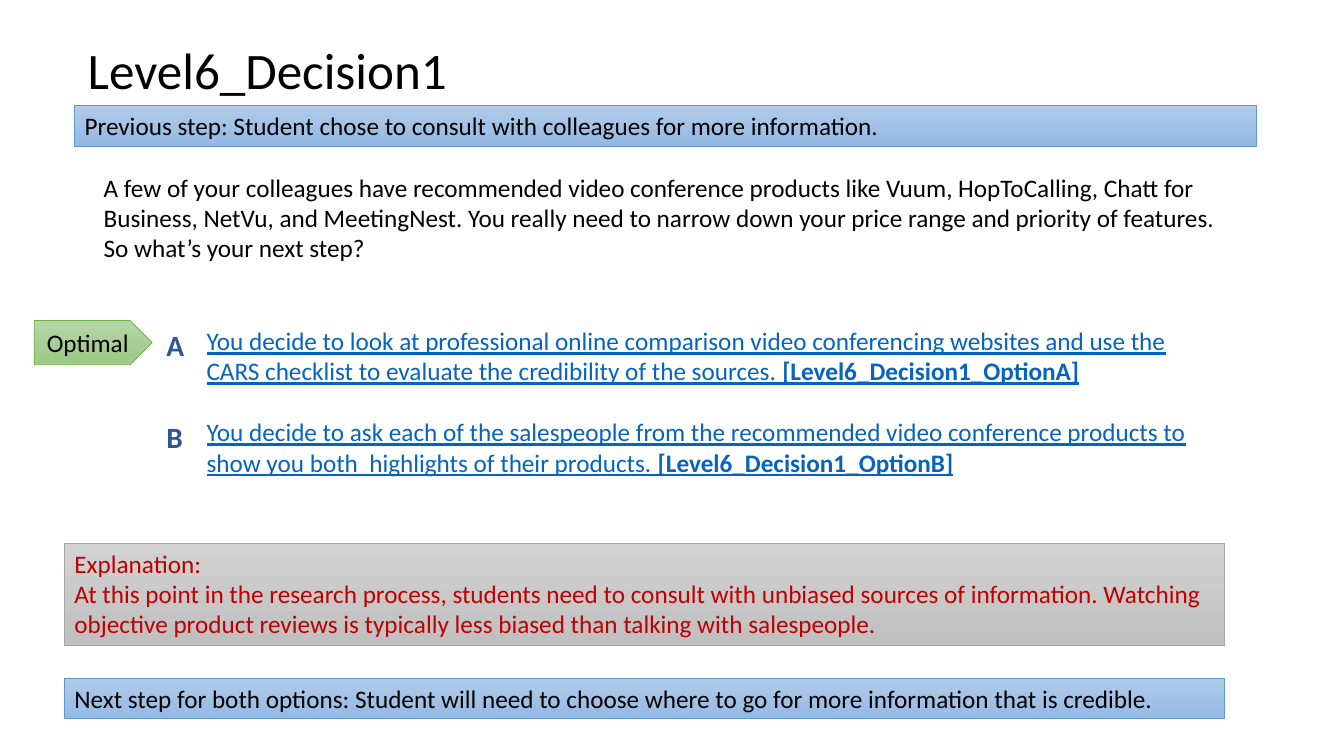
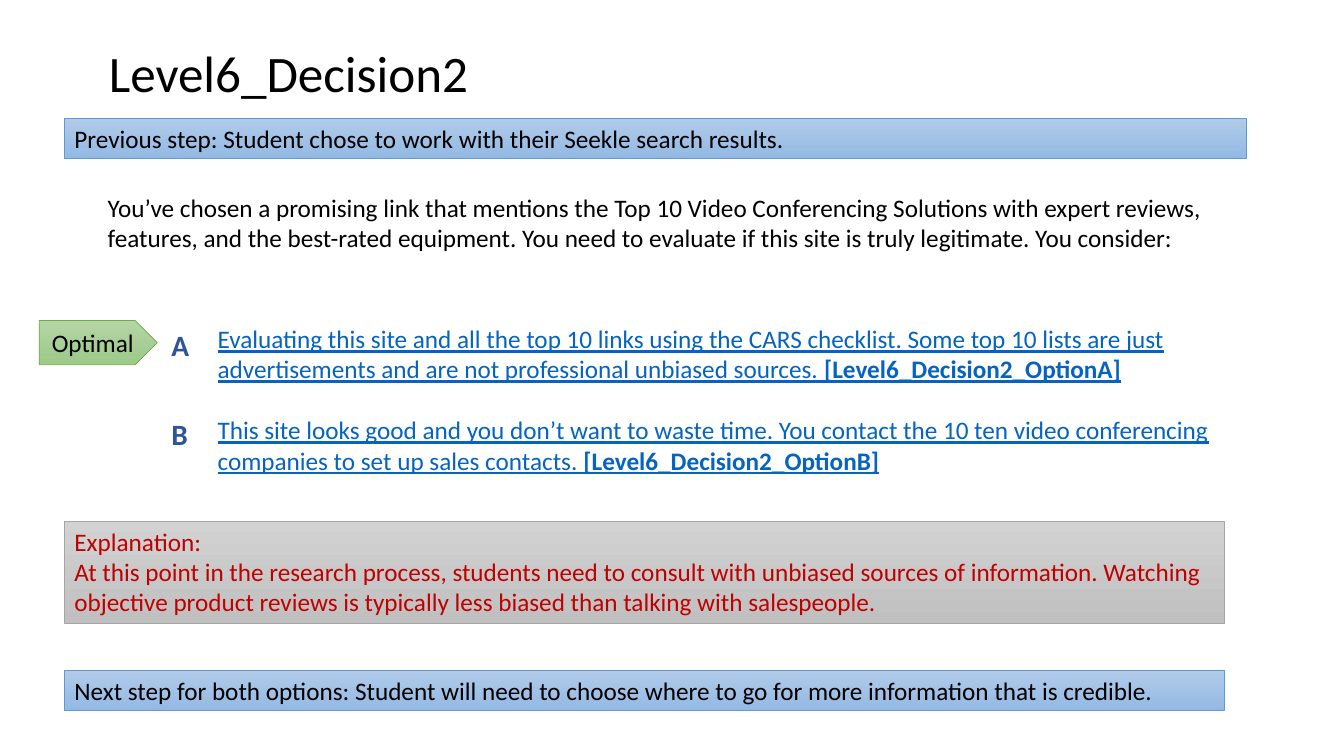
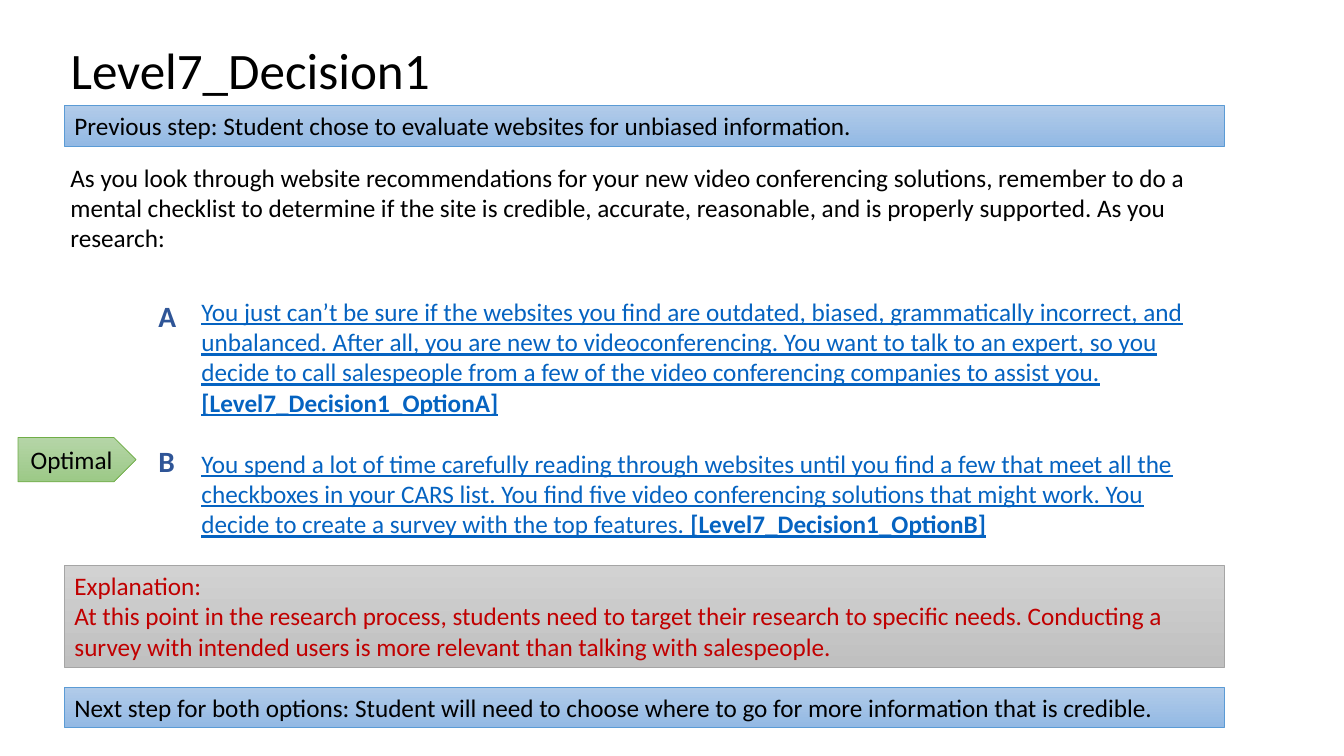
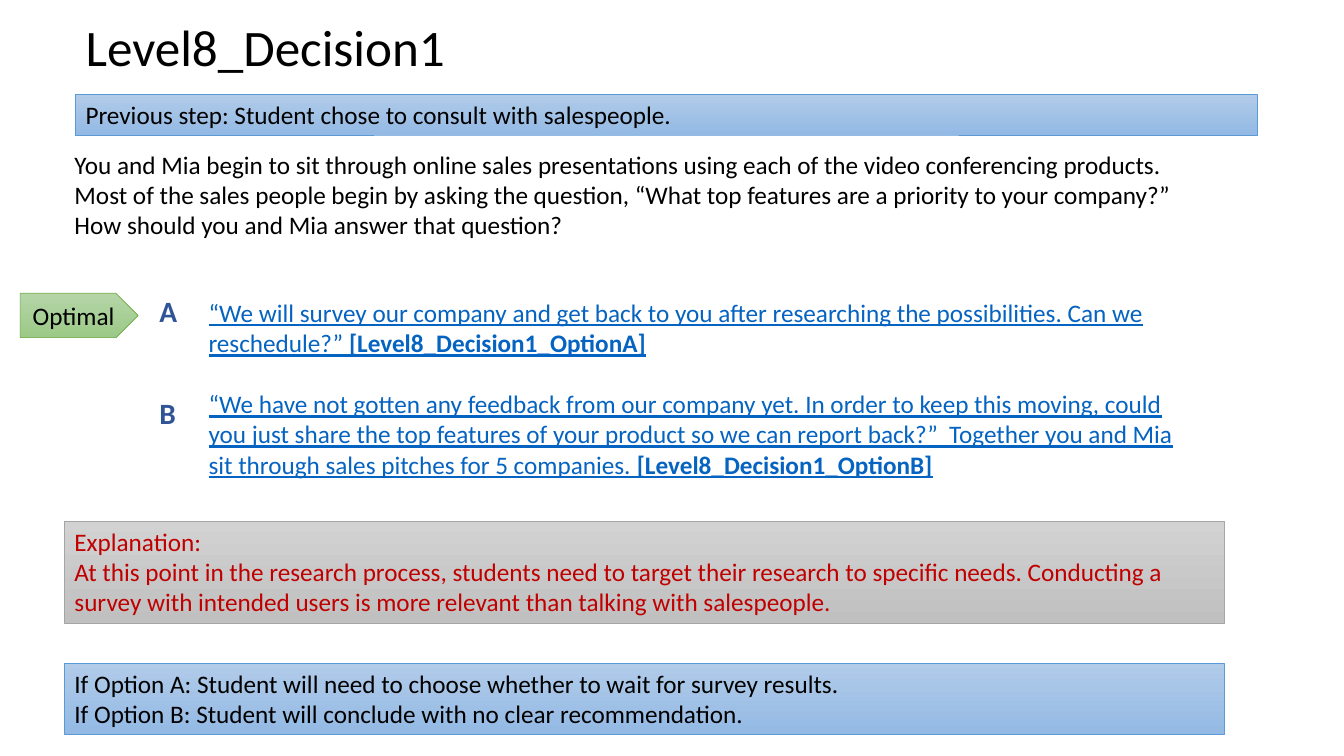
import pptx
import pptx.util
import pptx.dml.color
import pptx.enum.shapes
import pptx.enum.text

Inches = pptx.util.Inches
Pt = pptx.util.Pt
SHAPE = pptx.enum.shapes.MSO_SHAPE
ALIGN = pptx.enum.text.PP_ALIGN
ANCHOR = pptx.enum.text.MSO_ANCHOR

COLORS = {
    "text": "000000", "link": "0563C1", "letter": "2F5597", "alert": "C00000",
    "blue_top": "B1CBE9", "blue_low": "93B9E4", "blue_line": "5B9BD5",
    "gray_top": "D2D2D2", "gray_low": "C0C0C0", "gray_line": "A5A5A5",
    "green_top": "B5D5A7", "green_low": "9CC987", "green_line": "70AD47",
}

FONTS = {
    "title": {"size": Pt(36.5), "color": "text"},
    "body": {"size": Pt(18), "color": "text"},
    "alert": {"size": Pt(18), "color": "alert"},
    "link": {"size": Pt(18), "color": "link", "underline": True},
    "tag": {"size": Pt(18), "color": "link", "underline": True, "bold": True},
    "letter": {"size": Pt(21), "color": "letter", "bold": True},
}

LINE_GAP = Pt(22)
BIASED = ("At this point in the research process, students need to consult with unbiased "
          "sources of information. Watching objective product reviews is typically less "
          "biased than talking with salespeople.")
TARGET = ("At this point in the research process, students need to target their research to "
          "specific needs. Conducting a survey with intended users is more relevant than "
          "talking with salespeople.")
CHOOSE = ["Next step for both options: Student will need to choose where to go for more "
          "information that is credible."]

SLIDES = [
    {
        "title": ("Level6_Decision1", (0.77, 0.1, 11.39, 1.25)),
        "before": ("Student chose to consult with colleagues for more information.",
                   (0.74, 1.05, 11.72, 0.4)),
        "story": ("A few of your colleagues have recommended video conference products like "
                  "Vuum, HopToCalling, Chatt for Business, NetVu, and MeetingNest. You really "
                  "need to narrow down your price range and priority of features. So what’s "
                  "your next step?", (0.93, 1.66, 11.23, 1.31)),
        "choices": ["You decide to look at professional online comparison video conferencing "
                    "websites and use the CARS checklist to evaluate the credibility of the "
                    "sources. ",
                    "You decide to ask each of the salespeople from the recommended video "
                    "conference products to show you both  highlights of their products. "],
        "area": (1.95, 3.18, 10.22, 1.7),
        "marks": (-0.43, [0, 0.91]),
        "flag": (-1.61, 0),
        "reason": (BIASED, (0.64, 5.39, 11.5, 1.01)),
        "after": (CHOOSE, (0.64, 6.73, 11.5, 0.4)),
    },
    {
        "title": ("Level6_Decision2", (0.98, 0.13, 11.39, 1.25)),
        "before": ("Student chose to work with their Seekle search results.",
                   (0.64, 1.17, 11.72, 0.4)),
        "story": ("You’ve chosen a promising link that mentions the Top 10 Video Conferencing "
                  "Solutions with expert reviews, features, and the best-rated equipment. You "
                  "need to evaluate if this site is truly legitimate. You consider:",
                  (0.97, 1.86, 11.39, 1.01)),
        "choices": ["Evaluating this site and all the top 10 links using the CARS checklist. "
                    "Some top 10 lists are just advertisements and are not professional "
                    "unbiased sources. ",
                    "This site looks good and you don’t want to waste time. You contact the "
                    "10 ten video conferencing companies to set up sales contacts. "],
        "area": (2.06, 3.16, 10.3, 1.7),
        "marks": (-0.49, [0.02, 0.9]),
        "flag": (-1.67, 0.02),
        "reason": (BIASED, (0.64, 5.17, 11.5, 1.01)),
        "after": (CHOOSE, (0.64, 6.65, 11.5, 0.4)),
    },
    {
        "title": ("Level7_Decision1", (0.6, 0.1, 11.39, 1.25)),
        "before": ("Student chose to evaluate websites for unbiased information.",
                   (0.64, 1.05, 11.5, 0.4)),
        "story": ("As you look through website recommendations for your new video conferencing "
                  "solutions, remember to do a mental checklist to determine if the site is "
                  "credible, accurate, reasonable, and is properly supported. As you research:",
                  (0.6, 1.56, 11.39, 1.31)),
        "choices": ["You just can’t be sure if the websites you find are outdated, biased, "
                    "grammatically incorrect, and unbalanced. After all, you are new to "
                    "videoconferencing. You want to talk to an expert, so you decide to call "
                    "salespeople from a few of the video conferencing companies to assist you. ",
                    "You spend a lot of time carefully reading through websites until you find "
                    "a few that meet all the checkboxes in your CARS list. You find five video "
                    "conferencing solutions that might work. You decide to create a survey with "
                    "the top features. "],
        "area": (1.9, 2.89, 10.08, 2.6),
        "marks": (-0.46, [0, 1.44]),
        "flag": (-1.72, 1.45),
        "reason": (TARGET, (0.64, 5.61, 11.5, 1.01)),
        "after": (CHOOSE, (0.64, 6.82, 11.5, 0.4)),
    },
    {
        "title": ("Level8_Decision1", (0.75, 0.18, 11.39, 0.64)),
        "before": ("Student chose to consult with salespeople.", (0.75, 0.94, 11.72, 0.4)),
        "story": ("You and Mia begin to sit through online sales presentations using each of "
                  "the video conferencing products. Most of the sales people begin by asking "
                  "the question, “What top features are a priority to your company?” How should "
                  "you and Mia answer that question?", (0.64, 1.43, 11.39, 1.31)),
        "choices": ["“We will survey our company and get back to you after researching the "
                    "possibilities. Can we reschedule?” ",
                    "“We have not gotten any feedback from our company yet. In order to keep "
                    "this moving, could you just share the top features of your product so we "
                    "can report back?”  Together you and Mia sit through sales pitches for 5 "
                    "companies. "],
        "area": (1.97, 2.9, 10.06, 2),
        "marks": (-0.52, [-0.06, 0.95]),
        "flag": (-1.77, 0.01),
        "reason": (TARGET, (0.64, 5.17, 11.5, 1.01)),
        "after": (["If Option A: Student will need to choose whether to wait for survey results.",
                   "If Option B: Student will conclude with no clear recommendation."],
                  (0.64, 6.58, 11.5, 0.71)),
    },
]


def paint(name):
    """Return the named colour."""
    return pptx.dml.color.RGBColor.from_string(COLORS[name])


def style(font, name):
    """Apply one of the shared font formats."""
    font.name = "Calibri"
    for key, value in FONTS[name].items():
        if key == "color":
            font.color.rgb = paint(value)
        else:
            setattr(font, key, value)


def write(frame, lines, align=ALIGN.LEFT, gap=0, **format):
    """Fill a frame with lines, each a list of (text, font name) runs."""
    values = {"word_wrap": True, "auto_size": pptx.enum.text.MSO_AUTO_SIZE.NONE,
              "vertical_anchor": ANCHOR.TOP, **format}
    for key, value in values.items():
        setattr(frame, key, value)
    for index, runs in enumerate(lines):
        para = frame.add_paragraph() if index else frame.paragraphs[0]
        para.alignment = align
        if index and gap:
            para.space_before = gap
        for text, name in runs:
            run = para.add_run()
            run.text = text
            style(run.font, name)


def label(slide, box, lines, **format):
    """Add a plain text box."""
    shape = slide.shapes.add_textbox(*map(Inches, box))
    write(shape.text_frame, lines, **format)


def panel(slide, box, tone, lines, kind=SHAPE.RECTANGLE, **format):
    """Add a shape with a vertical gradient and a thin outline."""
    shape = slide.shapes.add_shape(kind, *map(Inches, box))
    shape.shadow.inherit = False
    shape.fill.gradient()
    shape.fill.gradient_angle = 270
    for stop, end in zip(shape.fill.gradient_stops, ("top", "low")):
        stop.color.rgb = paint(f"{tone}_{end}")
    shape.line.color.rgb = paint(f"{tone}_line")
    shape.line.width = Pt(0.5)
    write(shape.text_frame, lines, **format)


def head(slide, text, box):
    """Place and format the title."""
    title = slide.shapes.title
    for key, value in zip(("left", "top", "width", "height"), box):
        setattr(title, key, Inches(value))
    write(title.text_frame, [[(text, "title")]], vertical_anchor=ANCHOR.MIDDLE)
    title.text_frame.paragraphs[0].line_spacing = 0.9


def options(slide, box, name, choices, marks, flag):
    """Place both choices with their letters and the flag at the best one."""
    left, top = box[:2]
    shift, drops = marks
    label(slide, box, [[(text, "link"), (f"[{name}_Option{letter}]", "tag")]
                       for letter, text in zip("AB", choices)], gap=LINE_GAP)
    inset = {f"margin_{side}": Inches(size) for side, size in
             (("left", 0.13), ("right", 0.13), ("top", 0.07), ("bottom", 0.07))}
    for letter, drop in zip("AB", drops):
        label(slide, (left + shift, top + drop, 0.65, 0.5), [[(letter, "letter")]], **inset)
    panel(slide, (left + flag[0], top + flag[1], 1.17, 0.44), "green",
          [[("Optimal", "body")]], SHAPE.PENTAGON,
          align=ALIGN.CENTER, vertical_anchor=ANCHOR.MIDDLE)


def build(deck, data):
    """Add one decision slide."""
    slide = deck.slides.add_slide(deck.slide_layouts[5])
    name, box = data["title"]
    head(slide, name, box)
    options(slide, data["area"], name, data["choices"], data["marks"], data["flag"])
    text, box = data["story"]
    label(slide, box, [[(text, "body")]])
    text, box = data["reason"]
    panel(slide, box, "gray", [[("Explanation:", "alert")], [(text, "alert")]])
    lines, box = data["after"]
    panel(slide, box, "blue", [[(line, "body")] for line in lines])
    text, box = data["before"]
    panel(slide, box, "blue", [[(f"Previous step: {text}", "body")]])


def main():
    """Build and save the deck."""
    deck = pptx.Presentation()
    deck.slide_width, deck.slide_height = Inches(13.33), Inches(7.5)
    for data in SLIDES:
        build(deck, data)
    deck.save("out.pptx")


if __name__ == "__main__":
    main()
